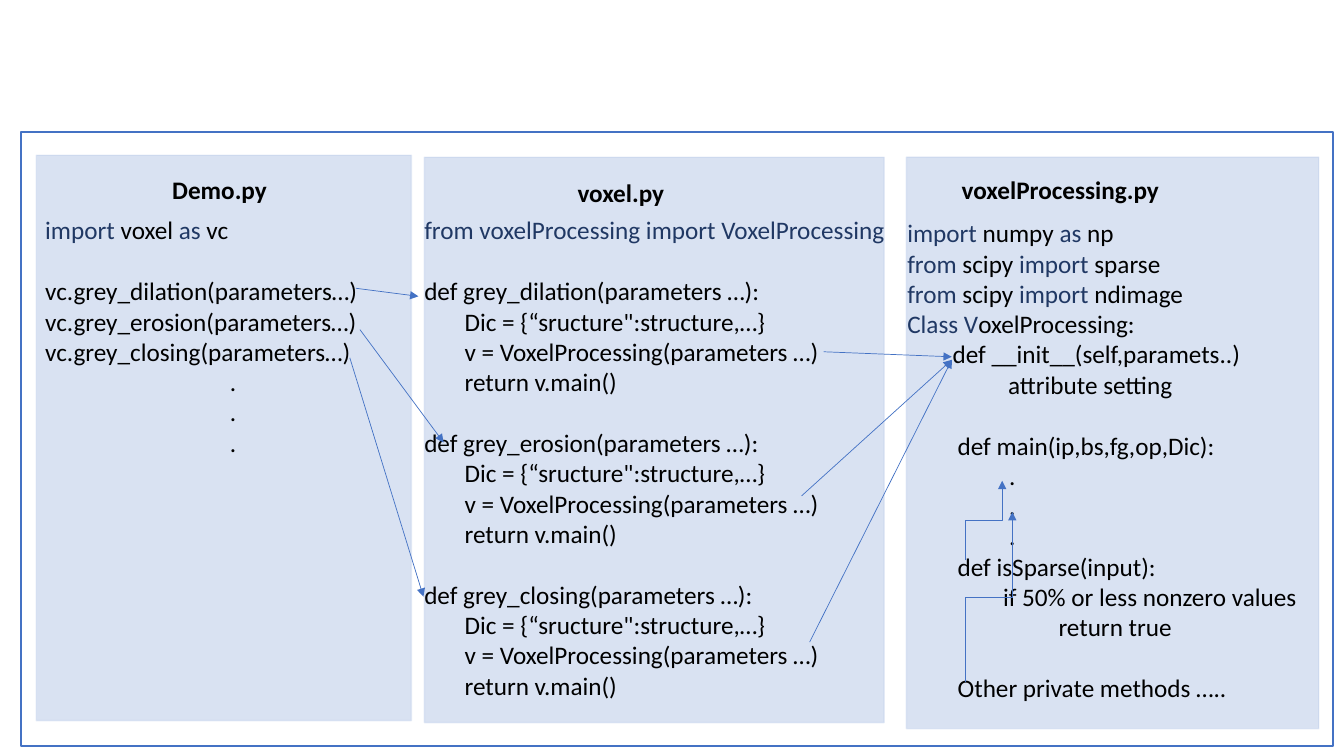
import pptx
import pptx.util
import pptx.dml.color
import pptx.enum.shapes
import pptx.enum.text
import pptx.oxml.ns
import lxml.etree

RGB = pptx.dml.color.RGBColor
BLUE = RGB(0x44, 0x72, 0xC4)
PALE = RGB(0xB4, 0xC7, 0xE7)
NAVY = RGB(0x20, 0x38, 0x64)
BLACK = RGB(0, 0, 0)
WHITE = RGB(255, 255, 255)
CELL = 0.1   # inches per grid column and row
SIZE = 18    # points
ROW = 22     # points, height of one line of code
CENTER = pptx.enum.text.PP_ALIGN.CENTER
KINDS = pptx.enum.shapes.MSO_CONNECTOR
qn = pptx.oxml.ns.qn


def grid(*cells):
    return [pptx.util.Inches(n * CELL) for n in cells]


def fade(colour, share):
    """Make a colour element partly transparent."""
    alpha = lxml.etree.SubElement(colour, qn("a:alpha"))
    alpha.set("val", str(share * 1000))


def panel(slide, box, fill, edge, alphas=()):
    kind = pptx.enum.shapes.MSO_SHAPE.RECTANGLE
    shape = slide.shapes.add_shape(kind, *grid(*box))
    shape.shadow.inherit = False
    shape.fill.solid()
    shape.fill.fore_color.rgb = fill
    shape.line.color.rgb = edge
    shape.line.width = pptx.util.Pt(1)
    colours = shape.element.spPr.iter(qn("a:srgbClr"))
    for colour, share in zip(list(colours), alphas):
        fade(colour, share)


def write(para, text, bold=False, indent=0, gap=False, align=None):
    """Fill one paragraph; words between asterisks are navy."""
    para.alignment = align
    if gap:
        para.space_before = pptx.util.Pt(ROW)
    if indent:
        props = para._p.get_or_add_pPr()
        props.set("marL", str(grid(indent)[0]))
        props.set("indent", "0")
    for i, part in enumerate(text.split("*")):
        if part:
            run = para.add_run()
            run.text = part
            font = run.font
            font.name, font.size, font.bold = "Calibri", pptx.util.Pt(SIZE), bold
            font.color.rgb = NAVY if i % 2 else BLACK


def block(slide, box, lines):
    """Add a text box from (text, format) pairs."""
    frame = slide.shapes.add_textbox(*grid(*box)).text_frame
    frame.word_wrap = True
    frame.auto_size = pptx.enum.text.MSO_AUTO_SIZE.SHAPE_TO_FIT_TEXT
    for i, (text, form) in enumerate(lines):
        para = frame.add_paragraph() if i else frame.paragraphs[0]
        write(para, text, **form)


def arrow(slide, start, end, kind=KINDS.STRAIGHT):
    line = slide.shapes.add_connector(kind, *grid(*start, *end))
    line.line.color.rgb = BLUE
    line.line.width = pptx.util.Pt(0.5)
    props = line.element.spPr
    tail = lxml.etree.SubElement(props.find(qn("a:ln")), qn("a:tailEnd"))
    tail.set("type", "triangle")
    lxml.etree.SubElement(props, qn("a:effectLst"))
    return line


def elbow(slide, start, end):
    """Add an arrow that goes up, right, then up: a quarter-turned elbow."""
    (x1, y1), (x2, y2) = start, end
    midx, midy = (x1 + x2) / 2, (y1 + y2) / 2
    wide, high = (y1 - y2) / 2, (x2 - x1) / 2
    line = arrow(slide, (midx + wide, midy + high),
                 (midx - wide, midy - high), KINDS.ELBOW)
    line.element.spPr.find(qn("a:xfrm")).set("rot", "5400000")


def demo():
    lines = [("*import* voxel *as *vc", {})]
    for i, name in enumerate(("dilation", "erosion", "closing")):
        lines.append((f"vc.grey_{name}(parameters…)", {"gap": i == 0}))
    return lines + [(".", {"align": CENTER})] * 3


def voxel():
    lines = [("*from voxelProcessing import VoxelProcessing*", {})]
    for name in ("dilation", "erosion", "closing"):
        lines.append((f"def grey_{name}(parameters …):", {"gap": True}))
        for text in ('Dic = {“sructure":structure,…}',
                     "v = VoxelProcessing(parameters …)", "return v.main()"):
            lines.append((text, {"indent": 4}))
    return lines


def process():
    return [
        ("*import *numpy *as* np", {}),
        ("*from *scipy *import* sparse", {}),
        ("*from *scipy *import *ndimage", {}),
        ("*Class V*oxelProcessing:", {}),
        ("def __init__(self,paramets..)", {"indent": 4.5}),
        ("attribute setting", {"indent": 10}),
        ("def main(ip,bs,fg,op,Dic):", {"indent": 5, "gap": True}),
        *[(".", {"indent": 10.1})] * 3,
        ("def isSparse(input):", {"indent": 5}),
        ("if 50% or less nonzero values", {"indent": 9.5}),
        ("return true", {"indent": 15}),
        ("Other private methods …..", {"indent": 5, "gap": True}),
    ]


def main():
    deck = pptx.Presentation()
    deck.slide_width = pptx.util.Inches(13.33)
    deck.slide_height = pptx.util.Inches(7.5)
    slide = deck.slides.add_slide(deck.slide_layouts[6])

    # Frame and file panels
    panel(slide, (2.1, 13.1, 130.1, 60.9), WHITE, BLUE)
    for box in ((3.6, 15.4, 37.2, 56.1), (42.1, 15.6, 45.6, 56.1),
                (89.9, 15.6, 40.9, 56.7)):
        panel(slide, box, PALE, PALE, (50, 31))

    # File names
    for name, box in (("Demo.py", (16.1, 16.8, 15.3, 4)),
                      ("voxel.py", (56.3, 17.1, 15.3, 4)),
                      ("voxelProcessing.py", (94.4, 16.8, 22.8, 4))):
        block(slide, box, [(name, {"bold": True})])

    # Code
    block(slide, (3.5, 20.8, 39.2, 25.2), demo())
    block(slide, (41.1, 20.8, 48.6, 49.5), voxel())
    block(slide, (89, 21.1, 41.8, 52.5), process())

    # Calls from demo to voxel, then from voxel to the class
    for start, end in (((35.3, 28.6), (41.5, 29.4)),
                       ((35.7, 32.7), (44, 43.9)),
                       ((34.7, 35.5), (42, 59.2)),
                       ((81.7, 34.9), (94.4, 35.4)),
                       ((79.5, 49.2), (94.4, 35.7)),
                       ((80.3, 63.7), (94.4, 35.7))):
        arrow(slide, start, end)

    # Helper methods used in main
    elbow(slide, (95.7, 67.7), (100.4, 50.8))
    elbow(slide, (95.7, 55.6), (99.4, 47.7))

    deck.save("out.pptx")


main()
